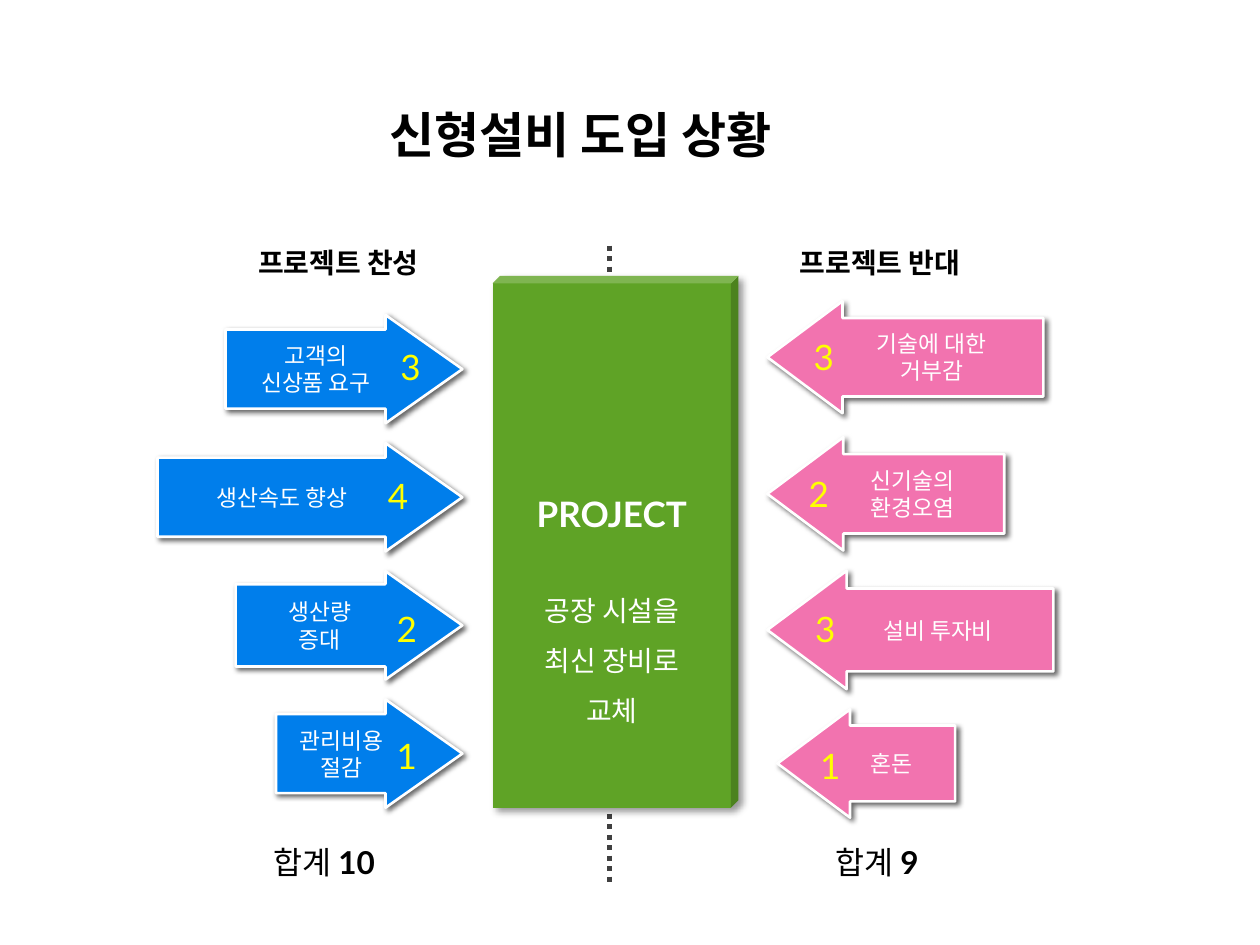
from copy import deepcopy

from lxml.etree import SubElement
from pptx import Presentation
from pptx.dml.color import RGBColor
from pptx.enum.dml import MSO_LINE
from pptx.enum.shapes import MSO_CONNECTOR, MSO_SHAPE as Preset
from pptx.enum.text import MSO_ANCHOR as Anchor, PP_ALIGN as Align
from pptx.oxml.ns import qn
from pptx.util import Inches, Pt

COLORS = {
    "support": "007EEB", "oppose": "F273AF", "project": "5FA326",
    "score": "FFFF00", "light": "FFFFFF", "dark": "000000", "axis": "404040",
}
KOREAN = "Noto Sans CJK KR"
LABEL = {"name": KOREAN, "size": Pt(13)}
SCORE = {"name": "Lato", "size": Pt(20)}
TOTAL = {"name": "Lato", "size": Pt(18)}
HEADING = {"name": "Lato", "size": Pt(16), "bold": True}
TITLE = {"name": "Lato", "size": Pt(28), "bold": True}
PROJECT = {"name": "Lato", "size": Pt(20), "bold": True}
DETAIL = {"name": KOREAN, "size": Pt(16)}

# label, score, arrow width, shaft ratio, score left, score top
SUPPORT = [
    ("고객의\n신상품 요구", 3, 1.88, 0.73, 3.08, 2.69),
    ("생산속도 향상", 4, 2.42, 0.73, 2.98, 3.72),
    ("생산량\n증대", 2, 1.8, 0.76, 3.05, 4.77),
    ("관리비용 절감", 1, 1.48, 0.73, 3.05, 5.78),
]
# label, score, arrow box, score left, score top
OPPOSE = [
    ("기술에 대한\n거부감", 3, (6.09, 2.39, 2.19, 0.89), 6.36, 2.61),
    ("신기술의\n환경오염", 2, (6.09, 3.47, 1.88, 0.9), 6.32, 3.7),
    ("설비 투자비", 3, (6.09, 4.53, 2.27, 0.94), 6.37, 4.77),
    ("혼돈", 1, (6.17, 5.63, 1.41, 0.86), 6.41, 5.86),
]


def rgb(key):
    return RGBColor.from_string(COLORS[key])


def style_run(run, style, color):
    for attribute, value in style.items():
        setattr(run.font, attribute, value)
    run.font.color.rgb = rgb(color)
    SubElement(run.font._element, qn("a:ea"), typeface=KOREAN)


def write(paragraph, text, style, color, align=Align.LEFT):
    paragraph.text = text
    paragraph.alignment = align
    for run in paragraph.runs:
        style_run(run, style, color)
    for line_break in paragraph._p.findall(qn("a:br")):
        line_break.append(deepcopy(paragraph.runs[0].font._element))


def add_shadow(shape, alpha, blur, distance):
    effects = SubElement(shape._element.spPr, qn("a:effectLst"))
    shadow = SubElement(effects, qn("a:outerShdw"), blurRad=str(Pt(blur)),
                        dist=str(Pt(distance)), dir="2700000", algn="tl", rotWithShape="0")
    tint = SubElement(shadow, qn("a:srgbClr"), val=COLORS["dark"])
    SubElement(tint, qn("a:alpha"), val=str(alpha * 1000))


def add_text(shapes, box, text, style, color="dark", align=Align.LEFT):
    frame = shapes.add_textbox(*map(Inches, box)).text_frame
    frame.word_wrap = True
    write(frame.paragraphs[0], text, style, color, align)
    return frame


def add_force(slide, preset, box, ratios, color, label, score, score_at):
    shapes = slide.shapes.add_group_shape().shapes
    arrow = shapes.add_shape(preset, *map(Inches, box))
    for index, ratio in enumerate(ratios):
        arrow.adjustments[index] = ratio
    arrow.fill.solid()
    arrow.fill.fore_color.rgb = rgb(color)
    arrow.line.color.rgb = rgb("light")
    arrow.line.width = Pt(1.5)
    add_shadow(arrow, 60, 3, 2)
    frame = arrow.text_frame
    frame.word_wrap = True
    frame.vertical_anchor = Anchor.MIDDLE
    write(frame.paragraphs[0], label, LABEL, "light", Align.CENTER)
    add_text(shapes, (*score_at, 0.42, 0.44), str(score), SCORE, "score")


def add_total(slide, left, forces):
    frame = add_text(slide.shapes, (left, 6.64, 1.88, 0.4), "합계 ", TOTAL)
    frame.margin_left = Inches(0.22)
    amount = frame.paragraphs[0].add_run()
    amount.text = str(sum(force[1] for force in forces))
    style_run(amount, {**TOTAL, "bold": True}, "dark")


def add_axis(slide):
    axis = slide.shapes.add_connector(
        MSO_CONNECTOR.STRAIGHT, *map(Inches, (4.84, 1.95, 4.84, 7.03)))
    axis.line.color.rgb = rgb("axis")
    axis.line.width = Pt(3)
    axis.line.dash_style = MSO_LINE.ROUND_DOT
    SubElement(axis._element.spPr, qn("a:effectLst"))


def add_project(slide):
    block = slide.shapes.add_shape(Preset.CUBE, *map(Inches, (3.91, 2.19, 1.95, 4.22)))
    block.adjustments[0] = 0.03
    block.fill.solid()
    block.fill.fore_color.rgb = rgb("project")
    block.line.fill.background()
    add_shadow(block, 40, 4, 3)
    frame = block.text_frame
    frame.word_wrap = True
    frame.vertical_anchor = Anchor.TOP
    frame.margin_top = Inches(1.66)
    write(frame.paragraphs[0], "PROJECT", PROJECT, "light", Align.CENTER)
    detail = frame.add_paragraph()
    write(detail, "공장 시설을\n최신 장비로\n교체", DETAIL, "light", Align.CENTER)
    detail.line_spacing = 1.5
    detail.space_before = Pt(24)


def main():
    deck = Presentation()
    deck.slide_width, deck.slide_height = Inches(10), Inches(7.5)
    slide = deck.slides.add_slide(deck.slide_layouts[6])

    for row, (label, score, width, shaft, *score_at) in enumerate(SUPPORT):
        box = (3.67 - width, 2.5 + 1.017 * row, width, 0.86)
        add_force(slide, Preset.RIGHT_ARROW, box, (shaft, 0.71), "support",
                  label, score, score_at)
    for label, score, box, *score_at in OPPOSE:
        add_force(slide, Preset.LEFT_ARROW, box, (0.7, 0.67), "oppose",
                  label, score, score_at)

    add_total(slide, 1.95, SUPPORT)
    add_total(slide, 6.41, OPPOSE)
    add_axis(slide)
    add_project(slide)
    add_text(slide.shapes, (1.95, 1.9, 1.88, 0.37), "프로젝트 찬성", HEADING)
    add_text(slide.shapes, (6.25, 1.9, 1.88, 0.37), "프로젝트 반대", HEADING)
    add_text(slide.shapes, (2.34, 0.78, 4.53, 0.57), "신형설비 도입 상황", TITLE,
             align=Align.CENTER)
    deck.save("out.pptx")


if __name__ == "__main__":
    main()
